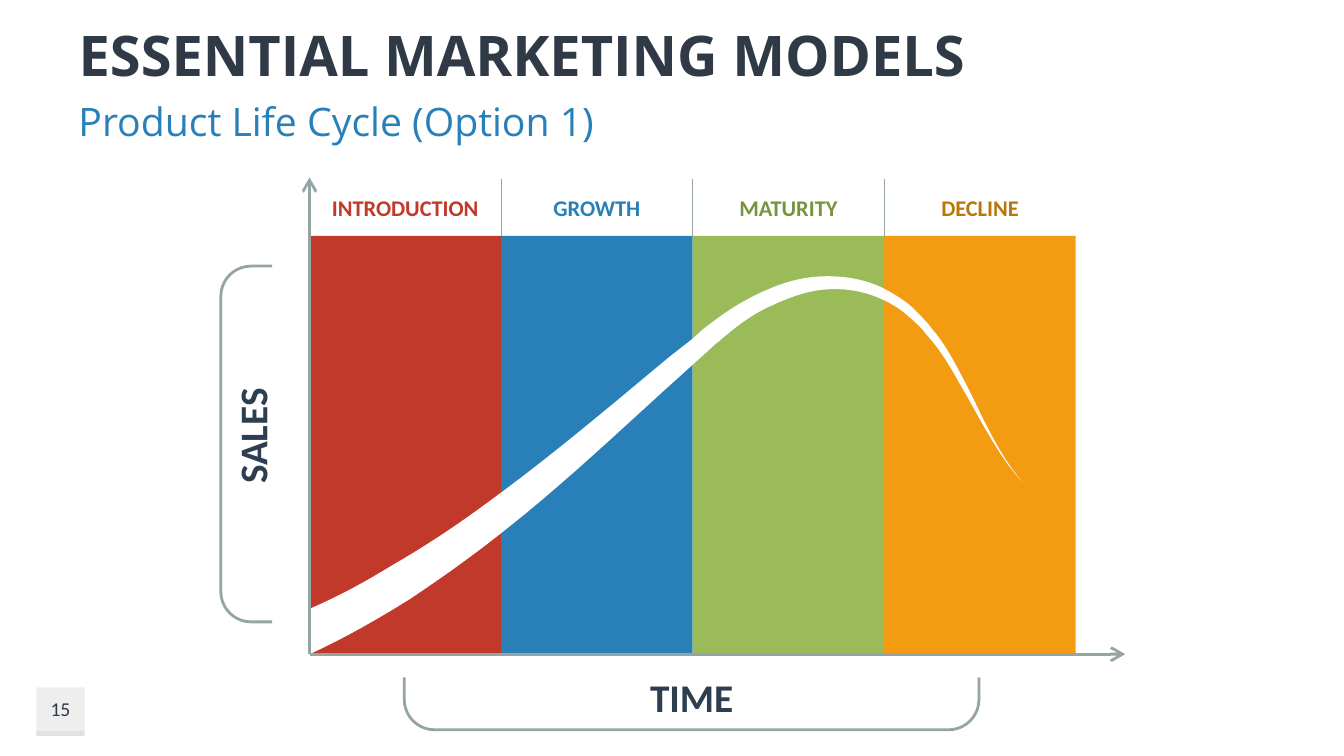
from collections import namedtuple

from lxml import etree
from pptx import Presentation
from pptx.dml.color import RGBColor
from pptx.enum.shapes import MSO_CONNECTOR, MSO_SHAPE
from pptx.enum.text import MSO_ANCHOR, MSO_AUTO_SIZE, PP_ALIGN
from pptx.oxml.ns import qn
from pptx.util import Emu, Pt

PX = 9144
RECTANGLE, STRAIGHT = MSO_SHAPE.RECTANGLE, MSO_CONNECTOR.STRAIGHT
LEFT, CENTER = PP_ALIGN.LEFT, PP_ALIGN.CENTER
TOP, MIDDLE = MSO_ANCHOR.TOP, MSO_ANCHOR.MIDDLE
FIXED = MSO_AUTO_SIZE.NONE
HEADING, BODY = "Open Sans", "Calibri"

INK = RGBColor(0x2F, 0x3A, 0x46)
NAVY = RGBColor(0x2C, 0x3E, 0x50)
SLATE = RGBColor(0x95, 0xA5, 0xA6)
SILVER = RGBColor(0xBF, 0xBF, 0xBF)
WHITE = RGBColor(0xFF, 0xFF, 0xFF)
RED = RGBColor(0xC0, 0x39, 0x2B)
BLUE = RGBColor(0x29, 0x80, 0xB9)
GREEN = RGBColor(0x9B, 0xBB, 0x59)
DARK_GREEN = RGBColor(0x77, 0x93, 0x3C)
ORANGE = RGBColor(0xF3, 0x9C, 0x12)
DARK_ORANGE = RGBColor(0xBA, 0x76, 0x09)

Box = namedtuple("Box", "left top width height")

STAGES = [
    ("INTRODUCTION", RED, RED),
    ("GROWTH", BLUE, BLUE),
    ("MATURITY", GREEN, DARK_GREEN),
    ("DECLINE", ORANGE, DARK_ORANGE),
]
CURVE_START = (195, 291)
CURVE_SEGMENTS = [
    [(257, 242), (313, 188), (371, 136)],
    [(403, 107)],
    [(407, 104), (410, 101), (414, 98)],
    [(428, 86), (444, 75), (461, 68)],
    [(478, 60), (496, 54), (514, 53)],
    [(533, 52), (551, 55), (568, 63)],
    [(577, 67), (585, 72), (592, 78)],
    [(599, 84), (606, 90), (612, 98)],
    [(625, 112), (635, 129), (644, 145)],
    [(654, 162), (663, 179), (673, 196)],
    [(683, 213), (693, 229), (707, 244)],
    [(694, 229), (684, 212), (675, 195)],
    [(666, 178), (658, 160), (649, 143)],
    [(640, 126), (631, 108), (618, 93)],
    [(612, 85), (605, 78), (598, 71)],
    [(590, 64), (582, 59), (573, 54)],
    [(555, 44), (534, 40), (514, 40)],
    [(493, 40), (473, 45), (455, 53)],
    [(436, 61), (419, 71), (403, 83)],
    [(399, 86), (395, 89), (391, 92)],
    [(380, 102)],
    [(357, 120)],
    [(297, 170), (238, 220), (176, 265)],
    [(145, 288), (113, 309), (80, 328)],
    [(54, 344), (28, 358), (0, 370)],
    [(0, 415)],
    [(35, 399), (68, 380), (100, 360)],
    [(133, 338), (165, 315), (195, 291)],
]


def emu(*lengths):
    """Turn px lengths into EMU."""
    return [Emu(round(length * PX)) for length in lengths]


def between(start, end, share):
    """Return the point lying at a share of the way from start to end."""
    return tuple(a + (b - a) * share for a, b in zip(start, end))


def trace(start, segments, steps=10):
    """Sample a chain of straight and cubic segments as points."""
    points = [start]
    for segment in segments:
        controls = [points[-1], *segment]
        count = steps if len(segment) > 1 else 1
        for step in range(1, count + 1):
            level = controls
            while len(level) > 1:
                level = [between(a, b, step / count) for a, b in zip(level, level[1:])]
            points.append(level[0])
    return points


def write(shape, words, font=BODY, size=16, color=INK, bold=False, align=CENTER, anchor=TOP):
    """Fill a shape's text frame with one formatted paragraph."""
    frame = shape.text_frame
    frame.word_wrap = True
    frame.auto_size = FIXED
    frame.vertical_anchor = anchor
    para = frame.paragraphs[0]
    para.alignment = align
    span = para.add_run()
    span.text = words
    span.font.name, span.font.size, span.font.bold = font, Pt(size), bold
    span.font.color.rgb = color


def add_text(page, box, words, rotation=0, **text_format):
    """Add a text box with one formatted paragraph."""
    shape = page.shapes.add_textbox(*emu(*box))
    shape.rotation = rotation
    write(shape, words, **text_format)


def add_panel(page, box, color, opacity=100):
    """Add a borderless rectangle."""
    panel = page.shapes.add_shape(RECTANGLE, *emu(*box))
    panel.shadow.inherit = False
    panel.fill.solid()
    panel.fill.fore_color.rgb = color
    panel.line.fill.background()
    if opacity < 100:
        tint = panel.fill._xPr.find(".//" + qn("a:srgbClr"))
        etree.SubElement(tint, qn("a:alpha"), val=str(opacity * 1000))


def add_outline(page, points, closed):
    """Draw px points as a white closed area or an open slate line."""
    scaled = [emu(*point) for point in points]
    builder = page.shapes.build_freeform(*scaled[0], scale=1.0)
    builder.add_line_segments(scaled[1:], close=closed)
    outline = builder.convert_to_shape()
    outline.shadow.inherit = False
    if closed:
        outline.fill.solid()
        outline.fill.fore_color.rgb = WHITE
        outline.line.fill.background()
    else:
        outline.fill.background()
        outline.line.color.rgb = SLATE
        outline.line.width = Pt(2)


def add_line(page, start, end, width, arrow=False):
    """Add a straight slate line, with an open arrowhead if asked."""
    line = page.shapes.add_connector(STRAIGHT, *emu(*start, *end))
    line.line.color.rgb = SLATE
    line.line.width = Pt(width)
    properties = line._element.spPr
    if arrow:
        stroke = properties.find(qn("a:ln"))
        etree.SubElement(stroke, qn("a:tailEnd"), type="arrow", w="lg", len="lg")
    etree.SubElement(properties, qn("a:effectLst"))


def add_bracket(page, first, corner_a, corner_b, last, radius=30):
    """Draw an open bracket with two rounded corners."""
    segments = []
    for before, corner, after in ((first, corner_a, corner_b), (corner_a, corner_b, last)):
        enter, leave = (
            between(corner, point, radius / (abs(point[0] - corner[0]) + abs(point[1] - corner[1])))
            for point in (before, after)
        )
        segments += [[enter], [between(enter, corner, 0.55), between(leave, corner, 0.55), leave]]
    add_outline(page, trace(first, [*segments, [last]]), closed=False)


def add_header(page, box):
    """Place the title and the subtitle below it."""
    title = page.shapes.title
    title.left, title.top, title.width, title.height = emu(box.left, box.top, box.width, 77)
    write(title, "ESSENTIAL MARKETING MODELS", font=HEADING, size=40, bold=True,
          align=LEFT, anchor=MIDDLE)
    add_text(page, Box(box.left, box.top + 77, box.width, 57), "Product Life Cycle (Option 1)",
             font=HEADING, size=28, color=BLUE, align=LEFT)


def add_page_number(page, box, number):
    """Place the page number on its tinted badge."""
    foot = 5
    add_panel(page, box, SILVER, opacity=25)
    add_panel(page, Box(box.left, box.top + box.height - foot, box.width, foot), SILVER, opacity=25)
    add_text(page, box._replace(height=box.height - foot), number, size=14, anchor=MIDDLE)


def add_life_cycle(page, box):
    """Place the stages, sales curve, axes and axis names around the plot box."""
    left, top, width, height = box
    bottom = top + height
    band = width // len(STAGES)
    for index, (name, fill, color) in enumerate(STAGES):
        x = left + index * band
        if index:
            add_line(page, (x, top - 56), (x, top), 0.5)
        add_panel(page, Box(x, top, band, height), fill)
        add_text(page, Box(x, top - 46, band, 37), name, color=color, bold=True)
    curve = trace(CURVE_START, CURVE_SEGMENTS)
    add_outline(page, [(left + x, top + y) for x, y in curve], closed=True)

    add_bracket(page, (left - 37, top + 30), (left - 88, top + 30),
                (left - 88, bottom - 32), (left - 37, bottom - 32))
    add_bracket(page, (left + 94, bottom + 23), (left + 94, bottom + 75),
                (left + 664, bottom + 75), (left + 664, bottom + 23))
    axis_name = {"size": 28, "color": NAVY, "bold": True}
    add_text(page, Box(left - 115, top + 170, 116, 57), "SALES", rotation=270, **axis_name)
    add_text(page, Box(left + 319, bottom + 14, 120, 57), "TIME", **axis_name)

    add_line(page, (left, bottom), (left, top - 58), 2, arrow=True)
    add_line(page, (left, bottom), (left + 809, bottom), 2, arrow=True)


def main():
    """Build the deck and save it."""
    deck = Presentation()
    deck.slide_width, deck.slide_height = emu(1333, 750)
    page = deck.slides.add_slide(deck.slide_layouts[5])
    add_page_number(page, Box(36, 682, 48, 48), "15")
    add_header(page, Box(68, 15, 1072, 134))
    add_life_cycle(page, Box(307, 234, 760, 415))
    deck.save("out.pptx")


if __name__ == "__main__":
    main()
